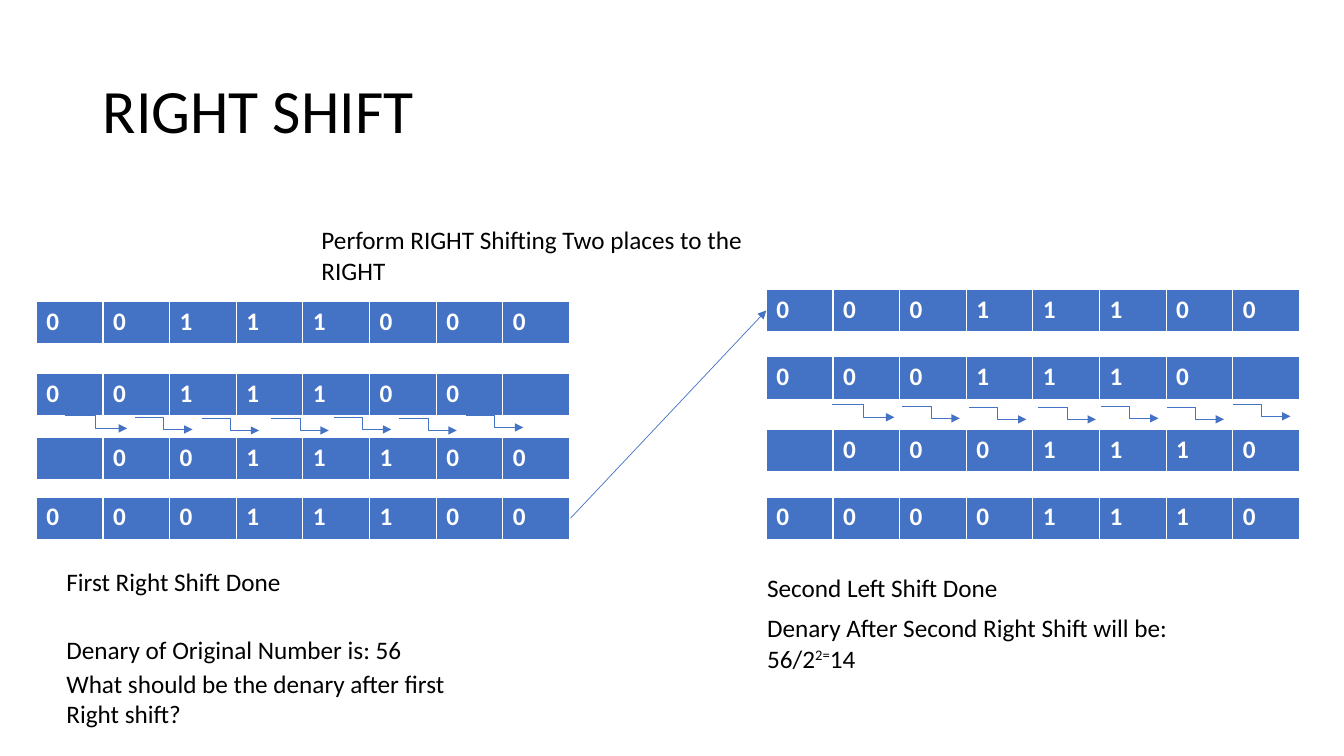
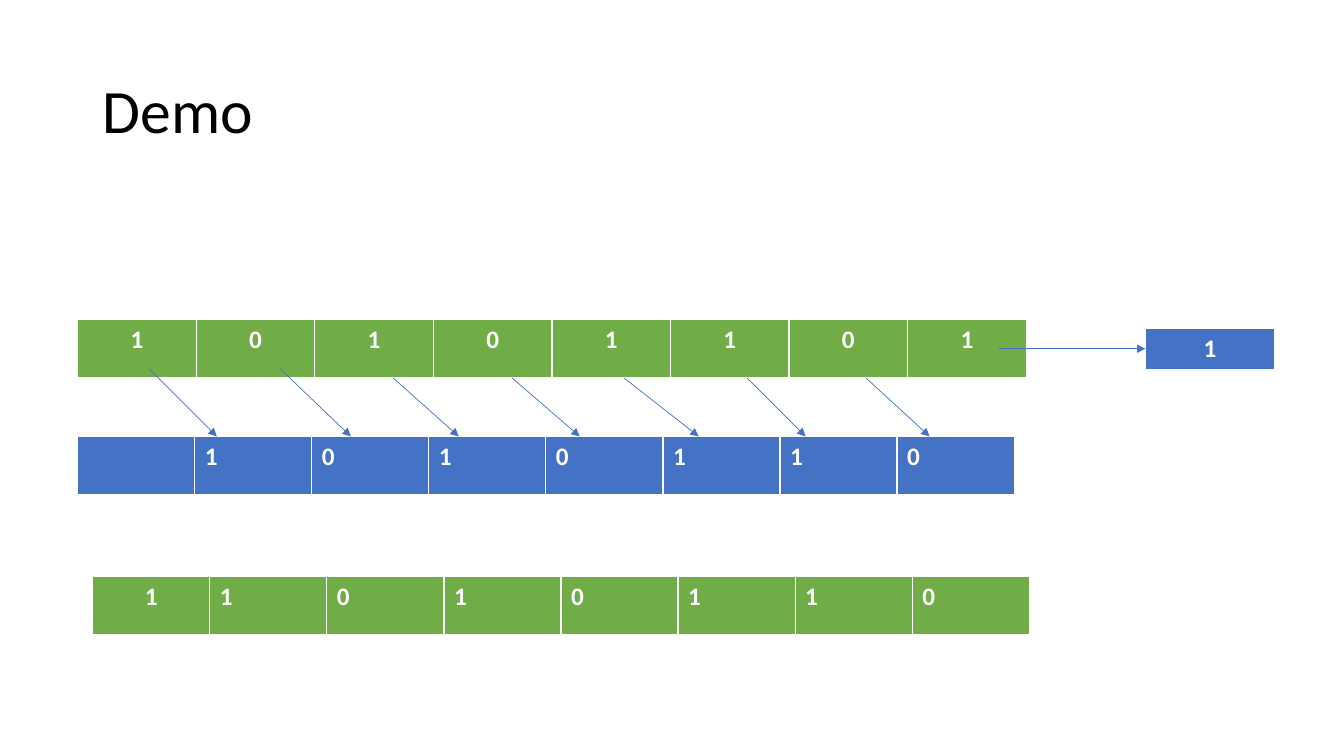
import pptx
import pptx.dml.color
import pptx.enum.shapes
import pptx.enum.text
import pptx.oxml
import pptx.oxml.ns
import pptx.util

PX = 9144  # EMU per px, 100 px to the inch
BLUE, GREEN, WHITE, BLACK = "4472C4", "70AD47", "FFFFFF", "000000"
BODY = {"name": "Calibri", "size": pptx.util.Pt(18), "bold": False}
BIT = {**BODY, "bold": True}
TITLE = {**BODY, "size": pptx.util.Pt(44)}
TITLE_BOX = {"left": 92 * PX, "top": 40 * PX, "width": 1150 * PX, "height": 145 * PX}
LEFT = pptx.enum.text.PP_ALIGN.LEFT
CENTER = pptx.enum.text.PP_ALIGN.CENTER
STRAIGHT = pptx.enum.shapes.MSO_CONNECTOR.STRAIGHT
ELBOW = pptx.enum.shapes.MSO_CONNECTOR.ELBOW
rgb = pptx.dml.color.RGBColor.from_string


def add_register(slide, left, top, width, height, bits, fill, centred=0):
    """One row of bits; a space is an empty cell, the first `centred` cells are centred."""
    table = slide.shapes.add_table(
        1, len(bits), left * PX, top * PX, width * PX, height * PX).table
    for index, bit in enumerate(bits):
        table.columns[index].width = width * PX // len(bits)
        cell = table.cell(0, index)
        cell.fill.solid()
        cell.fill.fore_color.rgb = rgb(fill)
        if bit == " ":
            continue
        paragraph = cell.text_frame.paragraphs[0]
        paragraph.alignment = CENTER if index < centred else LEFT
        run = paragraph.add_run()
        run.text = bit
        for name, value in BIT.items():
            setattr(run.font, name, value)
        run.font.color.rgb = rgb(WHITE)


def add_arrow(slide, kind, x1, y1, x2, y2):
    arrow = slide.shapes.add_connector(kind, x1 * PX, y1 * PX, x2 * PX, y2 * PX)
    arrow.line.color.rgb = rgb(BLUE)
    arrow.line.width = pptx.util.Pt(0.5)
    properties = arrow._element.spPr
    namespace = pptx.oxml.ns.nsdecls("a")
    properties.find(pptx.oxml.ns.qn("a:ln")).append(
        pptx.oxml.parse_xml(f'<a:tailEnd {namespace} type="triangle"/>'))
    properties.append(pptx.oxml.parse_xml(f"<a:effectLst {namespace}/>"))


deck = pptx.Presentation()
deck.slide_width, deck.slide_height = 1333 * PX, 750 * PX

# Slides with their titles
slides = []
for heading in ("RIGHT SHIFT", "Demo"):
    slide = deck.slides.add_slide(deck.slide_layouts[5])
    title = slide.shapes.title
    for name, value in TITLE_BOX.items():
        setattr(title, name, value)
    title.text_frame.text = heading
    title.text_frame.vertical_anchor = pptx.enum.text.MSO_ANCHOR.MIDDLE
    paragraph = title.text_frame.paragraphs[0]
    paragraph.alignment = LEFT
    paragraph.line_spacing = 0.9
    for name, value in TITLE.items():
        setattr(paragraph.runs[0].font, name, value)
    paragraph.runs[0].font.color.rgb = rgb(BLACK)
    slides.append(slide)
right_shift, demo = slides

# Right shift: the steps of the first and the second shift
shifts = [
    (36, [(299, "00111000"), (370, "0011100 "), (434, " 0011100"), (493, "00011100")]),
    (760, [(287, "00011100"), (354, "0001110 "), (426, " 0001110"), (493, "00001110")]),
]
for left, steps in shifts:
    for top, bits in steps:
        add_register(right_shift, left, top, 529, 42, bits, BLUE)

# Right shift: texts, as paragraphs of (text, baseline) runs
texts = [
    (309, 218, 452, 71, [[("Perform RIGHT Shifting Two places to the RIGHT", 0)]]),
    (56, 557, 432, 40, [[("First Right Shift Done", 0)]]),
    (56, 624, 432, 40, [[("Denary of Original Number is: 56", 0)]]),
    (56, 658, 432, 71, [[("What should be the denary after first Right shift?", 0)]]),
    (751, 563, 432, 40, [[("Second Left Shift Done", 0)]]),
    (751, 603, 432, 71, [[("Denary After Second Right Shift will be:", 0)],
                         [("56/2", 0), ("2=", 30000), ("14", 0)]]),
]
for left, top, width, height, paragraphs in texts:
    frame = right_shift.shapes.add_textbox(
        left * PX, top * PX, width * PX, height * PX).text_frame
    frame.word_wrap = True
    frame.auto_size = pptx.enum.text.MSO_AUTO_SIZE.SHAPE_TO_FIT_TEXT
    for index, runs in enumerate(paragraphs):
        paragraph = frame.add_paragraph() if index else frame.paragraphs[0]
        for text, baseline in runs:
            run = paragraph.add_run()
            run.text = text
            for name, value in BODY.items():
                setattr(run.font, name, value)
            run.font.color.rgb = rgb(BLACK)
            if baseline:
                run._r.get_or_add_rPr().set("baseline", str(baseline))

# Right shift: result of the first shift feeds the second
add_arrow(right_shift, STRAIGHT, 566, 514, 760, 308)

# Right shift: one bent arrow per moved bit, the same set for both shifts
bit_moves = [(64, 412, 62, 13), (134, 414, 57, 12), (200, 415, 57, 12), (269, 415, 57, 12),
             (331, 414, 57, 12), (396, 415, 57, 12), (462, 412, 57, 12)]
for dx, dy in ((0, 0), (761, -11)):
    for x, y, width, height in bit_moves:
        add_arrow(right_shift, ELBOW, x + dx, y + dy, x + dx + width, y + dy + height)

# Demo: start, bit shifted out, shifted bits, result
add_register(demo, 77, 317, 941, 58, "10101101", GREEN, centred=8)
add_register(demo, 1136, 326, 128, 40, "1", BLUE, centred=1)
add_register(demo, 77, 433, 929, 58, " 1010110", BLUE)
add_register(demo, 92, 572, 929, 58, "11010110", GREEN, centred=1)

# Demo: arrows of the moved bits
add_arrow(demo, STRAIGHT, 991, 346, 1136, 346)
for x1, y1, x2 in ((148, 366, 215), (278, 366, 348), (390, 375, 455), (508, 375, 575),
                   (619, 375, 693), (741, 375, 799), (859, 375, 922)):
    add_arrow(demo, STRAIGHT, x1, y1, x2, 433)

deck.save("out.pptx")
